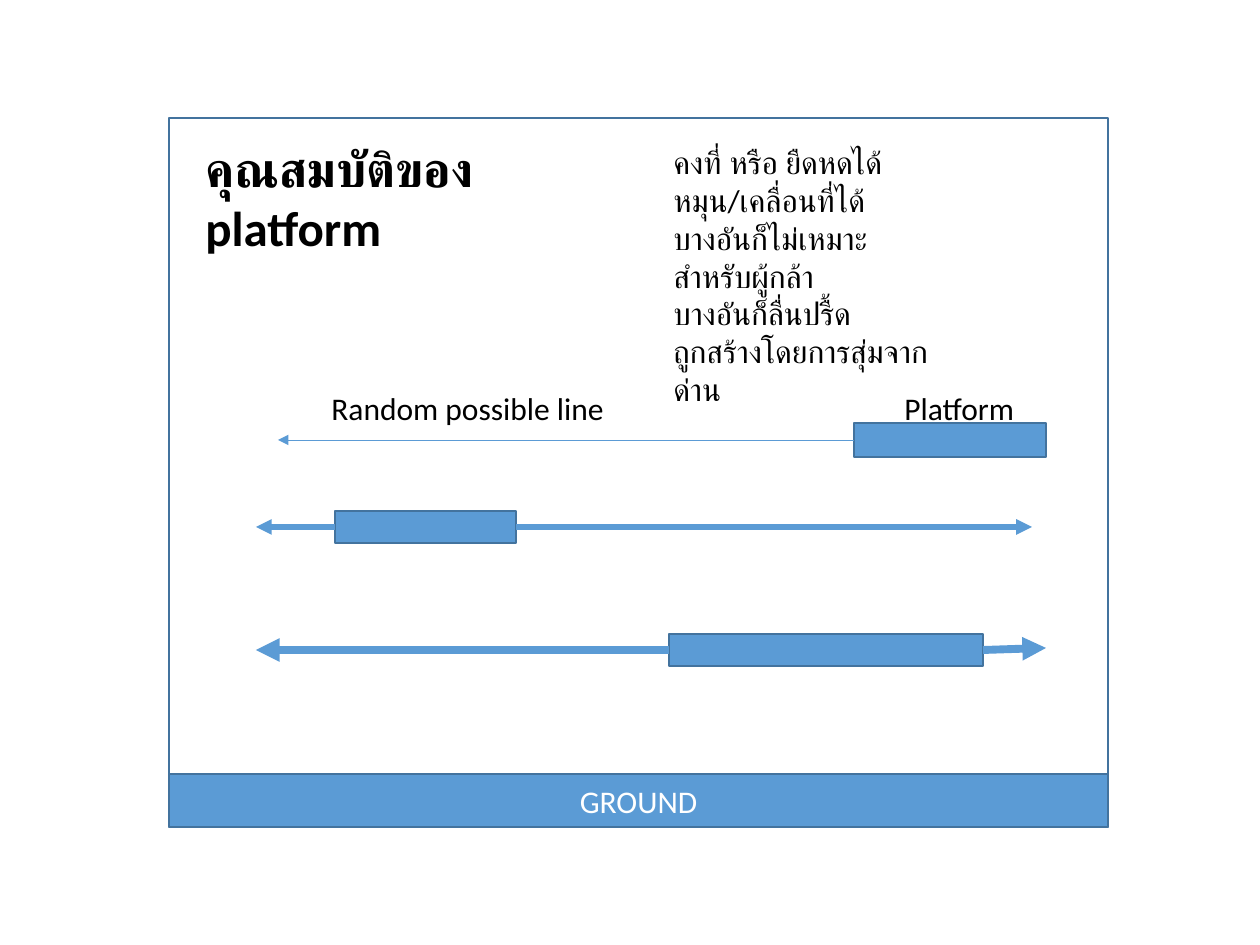
from lxml.etree import SubElement
from pptx import Presentation
from pptx.dml.color import RGBColor
from pptx.enum.shapes import MSO_CONNECTOR, MSO_SHAPE
from pptx.enum.text import MSO_ANCHOR, PP_ALIGN
from pptx.oxml.ns import qn
from pptx.util import Pt

SCALE = 914400 / 126
BLUE = RGBColor(0x5B, 0x9B, 0xD5)
EDGE = RGBColor(0x43, 0x73, 0x9E)
BLACK = RGBColor(0, 0, 0)
WHITE = RGBColor(255, 255, 255)


def px(*nums):
    return [round(n * SCALE) for n in nums]


def write(frame, text, size=18, color=BLACK, bold=False, align=PP_ALIGN.LEFT, wrap=True):
    frame.word_wrap = wrap
    frame.text = text
    for para in frame.paragraphs:
        para.alignment = align
        for run in para.runs:
            font = run.font
            font.name = "Calibri"
            font.size = Pt(size)
            font.bold = bold
            font.color.rgb = color


def label(slide, box, text, **form):
    write(slide.shapes.add_textbox(*px(*box)).text_frame, text, **form)


def block(slide, box, fill=BLUE):
    rect = slide.shapes.add_shape(MSO_SHAPE.RECTANGLE, *px(*box))
    rect.shadow.inherit = False
    if fill is None:
        rect.fill.background()
    else:
        rect.fill.solid()
        rect.fill.fore_color.rgb = fill
    rect.line.color.rgb = EDGE
    rect.line.width = Pt(1)
    return rect


def arrow(slide, rect, side, tip, weight):
    line = slide.shapes.add_connector(MSO_CONNECTOR.STRAIGHT, 0, 0, *px(*tip))
    line.begin_connect(rect, side)
    line.line.color.rgb = BLUE
    line.line.width = Pt(weight)
    SubElement(line.line._get_or_add_ln(), qn("a:tailEnd"), type="triangle")
    SubElement(line._element.spPr, qn("a:effectLst"))


def platform(slide, box, weight, left, right=None, lift=0):
    x, y, w, h = box
    rect = block(slide, box)
    mid = y + h // 2
    arrow(slide, rect, 1, (x - left, mid), weight)
    if right:
        arrow(slide, rect, 3, (x + w + right, mid - lift), weight)


def ground(slide, box):
    frame = block(slide, box).text_frame
    frame.vertical_anchor = MSO_ANCHOR.MIDDLE
    write(frame, "GROUND", color=WHITE, align=PP_ALIGN.CENTER)


def heading(slide, x, y):
    label(slide, (x, y, 418, 72), "คุณสมบัติของ platform", size=28, bold=True)
    label(slide, (x + 468, y + 5, 289, 204),
          "คงที่ หรือ ยืดหดได้\vหมุน/เคลื่อนที่ได้\n"
          "บางอันก็ไม่เหมาะสำหรับผู้กล้า\n"
          "บางอันก็ลื่นปรื้ด\n"
          "ถูกสร้างโดยการสุ่มจากด่าน")


def stage(slide, x, y, w, h):
    block(slide, (x, y, w, h), fill=None)
    platform(slide, (x + 500, y + 516, 314, 32), 4.5, 413, 63, lift=2)
    platform(slide, (x + 166, y + 393, 181, 32), 3, 79, 516)
    platform(slide, (x + 685, y + 305, 192, 34), 0.5, 576)
    ground(slide, (x, y + h - 53, w, 53))
    label(slide, (x + 150, y + 265, 301, 50), "Random possible line", wrap=False)
    label(slide, (x + 723, y + 265, 137, 50), "Platform", wrap=False)
    heading(slide, x + 24, y + 14)


def main():
    deck = Presentation()
    deck.slide_width, deck.slide_height = px(1260, 945)
    slide = deck.slides.add_slide(deck.slide_layouts[6])
    stage(slide, 169, 118, 939, 709)
    deck.save("out.pptx")


if __name__ == "__main__":
    main()
